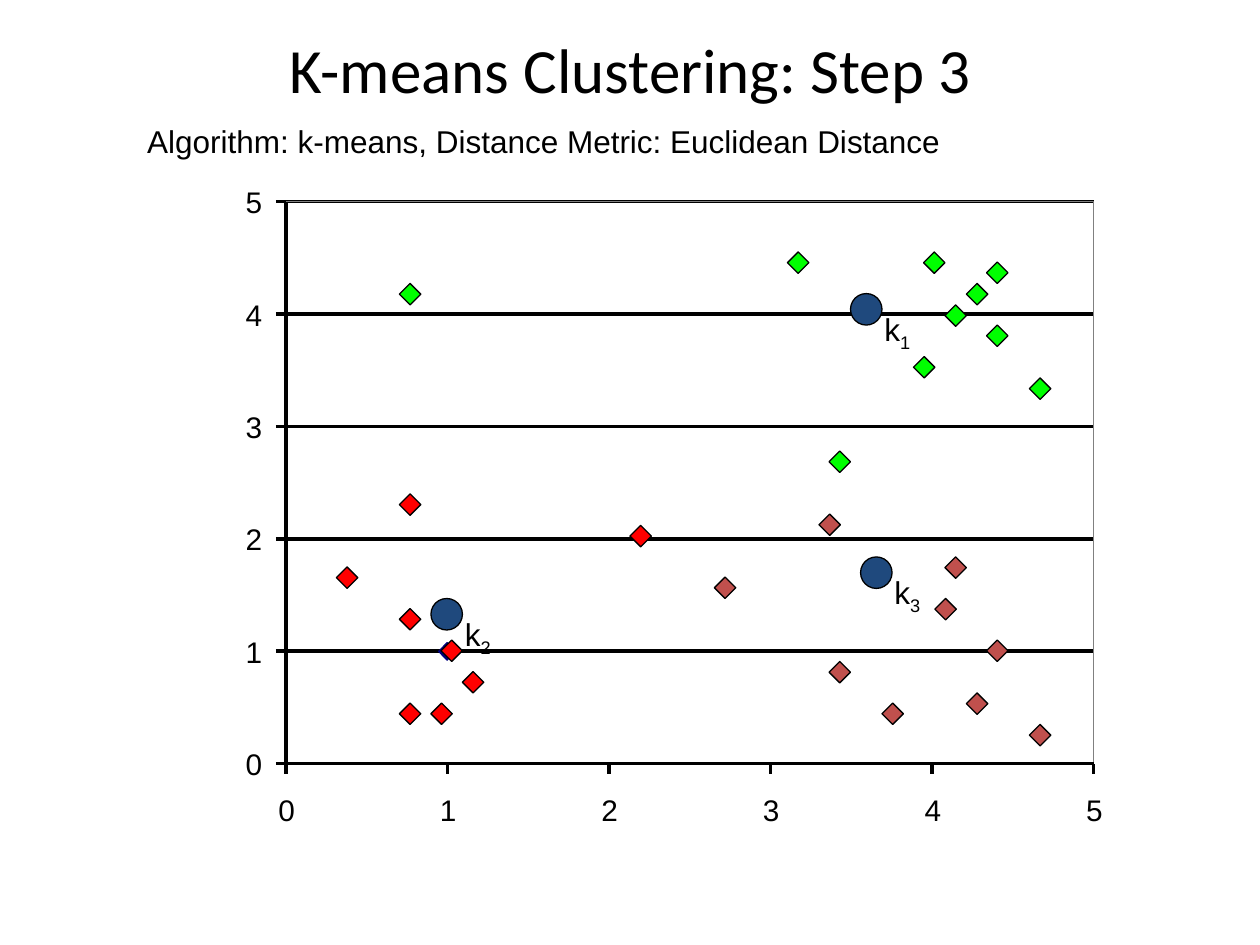
"""Build the slide showing step 3 of k-means clustering as a scatter plot."""
from lxml import etree
from pptx import Presentation
from pptx.dml.color import RGBColor
from pptx.enum.shapes import MSO_CONNECTOR, MSO_SHAPE
from pptx.enum.text import MSO_ANCHOR, MSO_AUTO_SIZE, PP_ALIGN
from pptx.oxml.ns import qn
from pptx.util import Inches, Pt

STRAIGHT = MSO_CONNECTOR.STRAIGHT
RECTANGLE = MSO_SHAPE.RECTANGLE
OVAL = MSO_SHAPE.OVAL
DIAMOND = MSO_SHAPE.DIAMOND
MIDDLE = MSO_ANCHOR.MIDDLE
CENTER = PP_ALIGN.CENTER
LEFT_ALIGNED = PP_ALIGN.LEFT
GROW = MSO_AUTO_SIZE.SHAPE_TO_FIT_TEXT

BLACK = RGBColor(0x00, 0x00, 0x00)
WHITE = RGBColor(0xFF, 0xFF, 0xFF)
GRAY = RGBColor(0x80, 0x80, 0x80)
NAVY = RGBColor(0x00, 0x00, 0x80)
BLUE = RGBColor(0x1F, 0x49, 0x7D)
GREEN = RGBColor(0x00, 0xFF, 0x00)
RED = RGBColor(0xFF, 0x00, 0x00)
BRICK = RGBColor(0xC0, 0x50, 0x4D)

LEFT, TOP, RIGHT, BOTTOM = 2.27, 1.6, 8.68, 6.06
WIDTH, HEIGHT = RIGHT - LEFT, BOTTOM - TOP
UNITS = 5
TICK = 0.08
MARKER = 0.17
CENTROID = 0.25


def write_text(box, text, size=18, font="Arial", align=LEFT_ALIGNED, wrap=False,
               inset=None, subscript=None):
    frame = box.text_frame
    frame.word_wrap = wrap
    if inset is not None:
        frame.margin_left = frame.margin_right = Inches(inset)
        frame.margin_top = frame.margin_bottom = Inches(inset)
    para = frame.paragraphs[0]
    para.alignment = align
    for part in filter(None, (text, subscript)):
        span = para.add_run()
        span.text = part
        span.font.size = Pt(size)
        span.font.name = font
        span.font.color.rgb = BLACK
    if subscript:
        span._r.get_or_add_rPr().set("baseline", "-25000")


def add_line(x1, y1, x2, y2):
    line = page.shapes.add_connector(STRAIGHT, Inches(x1), Inches(y1), Inches(x2), Inches(y2))
    line.line.color.rgb = BLACK
    line.line.width = Pt(0)
    etree.SubElement(line._element.spPr, qn("a:effectLst"))


deck = Presentation()
deck.slide_width = Inches(10)
deck.slide_height = Inches(7.5)
page = deck.slides.add_slide(deck.slide_layouts[5])

title = page.shapes.title
title.left, title.top = Inches(0.75), Inches(0.25)
title.width, title.height = Inches(8.5), Inches(0.58)
title.text_frame.vertical_anchor = MIDDLE
write_text(title, "K-means Clustering: Step 3", size=36, font="Calibri", align=CENTER, wrap=True)

shape_styles = []
plot_bounds = [Inches(value) for value in (LEFT, TOP, WIDTH, HEIGHT)]
plot_area = page.shapes.add_shape(RECTANGLE, *plot_bounds)
shape_styles.append((plot_area, WHITE, None, 0))

rows = [BOTTOM - HEIGHT * unit / UNITS for unit in range(UNITS + 1)]
columns = [LEFT + WIDTH * unit / UNITS for unit in range(UNITS + 1)]
for y in rows[1:]:
    add_line(LEFT, y, RIGHT, y)

plot_frame = page.shapes.add_shape(RECTANGLE, *plot_bounds)
shape_styles.append((plot_frame, None, GRAY, 0.63))

add_line(LEFT, TOP, LEFT, BOTTOM)
add_line(LEFT, BOTTOM, RIGHT, BOTTOM)
for y in rows:
    add_line(LEFT - TICK, y, LEFT, y)
for x in columns:
    add_line(x, BOTTOM + TICK, x, BOTTOM)

outline = page.shapes.build_freeform(Inches(3.55), Inches(5.1))
outline.add_line_segments(
    [(Inches(x), Inches(y)) for x, y in ((3.61, 5.17), (3.55, 5.24), (3.48, 5.17))], close=True)
shape_styles.append((outline.convert_to_shape(), NAVY, NAVY, 0.63))

label_places = [(1.95, y - 0.14) for y in rows] + [(x - 0.06, 6.28) for x in columns]
for index, (left, top) in enumerate(label_places):
    box = page.shapes.add_textbox(Inches(left), Inches(top), Inches(0.23), Inches(0.31))
    box.text_frame.auto_size = GROW
    write_text(box, str(index % (UNITS + 1)), size=17, inset=0)

subtitle = page.shapes.add_textbox(Inches(1.07), Inches(0.92), Inches(7.95), Inches(0.5))
subtitle.text_frame.auto_size = GROW
write_text(subtitle, "Algorithm: k-means, Distance Metric: Euclidean Distance")

centroids = {"1": (6.75, 2.33), "2": (3.42, 4.75), "3": (6.83, 4.42)}
for number, (left, top) in centroids.items():
    group = page.shapes.add_group_shape()
    circle = group.shapes.add_shape(
        OVAL, Inches(left), Inches(top), Inches(CENTROID), Inches(CENTROID))
    shape_styles.append((circle, BLUE, BLACK, 0.75))
    box = group.shapes.add_textbox(
        Inches(left + 0.17), Inches(top + 0.08), Inches(0.58), Inches(0.5))
    box.text_frame.auto_size = GROW
    write_text(box, "k", wrap=True, subscript=number)

clusters = (
    (RED, ((3.5, 5.08), (3.67, 5.33), (3.42, 5.58), (3.17, 4.83), (3.17, 3.92),
           (3.17, 5.58), (2.67, 4.5), (5, 4.17))),
    (GREEN, ((3.17, 2.25), (7.33, 2), (7.83, 2.08), (7.67, 2.25), (7.5, 2.42),
             (7.83, 2.58), (8.17, 3), (6.25, 2), (6.58, 3.58), (7.25, 2.83))),
    (BRICK, ((6.58, 5.25), (7, 5.58), (7.42, 4.75), (6.5, 4.08), (5.67, 4.58),
             (7.83, 5.08), (7.67, 5.5), (7.5, 4.42), (8.17, 5.75))),
)
for color, points in clusters:
    for left, top in points:
        marker = page.shapes.add_shape(
            DIAMOND, Inches(left), Inches(top), Inches(MARKER), Inches(MARKER))
        shape_styles.append((marker, color, BLACK, 0.75))

for shape, fill, line, width in shape_styles:
    shape.shadow.inherit = False
    if fill is None:
        shape.fill.background()
    else:
        shape.fill.solid()
        shape.fill.fore_color.rgb = fill
    if line is None:
        shape.line.fill.background()
    else:
        shape.line.color.rgb = line
        shape.line.width = Pt(width)

deck.save("out.pptx")
